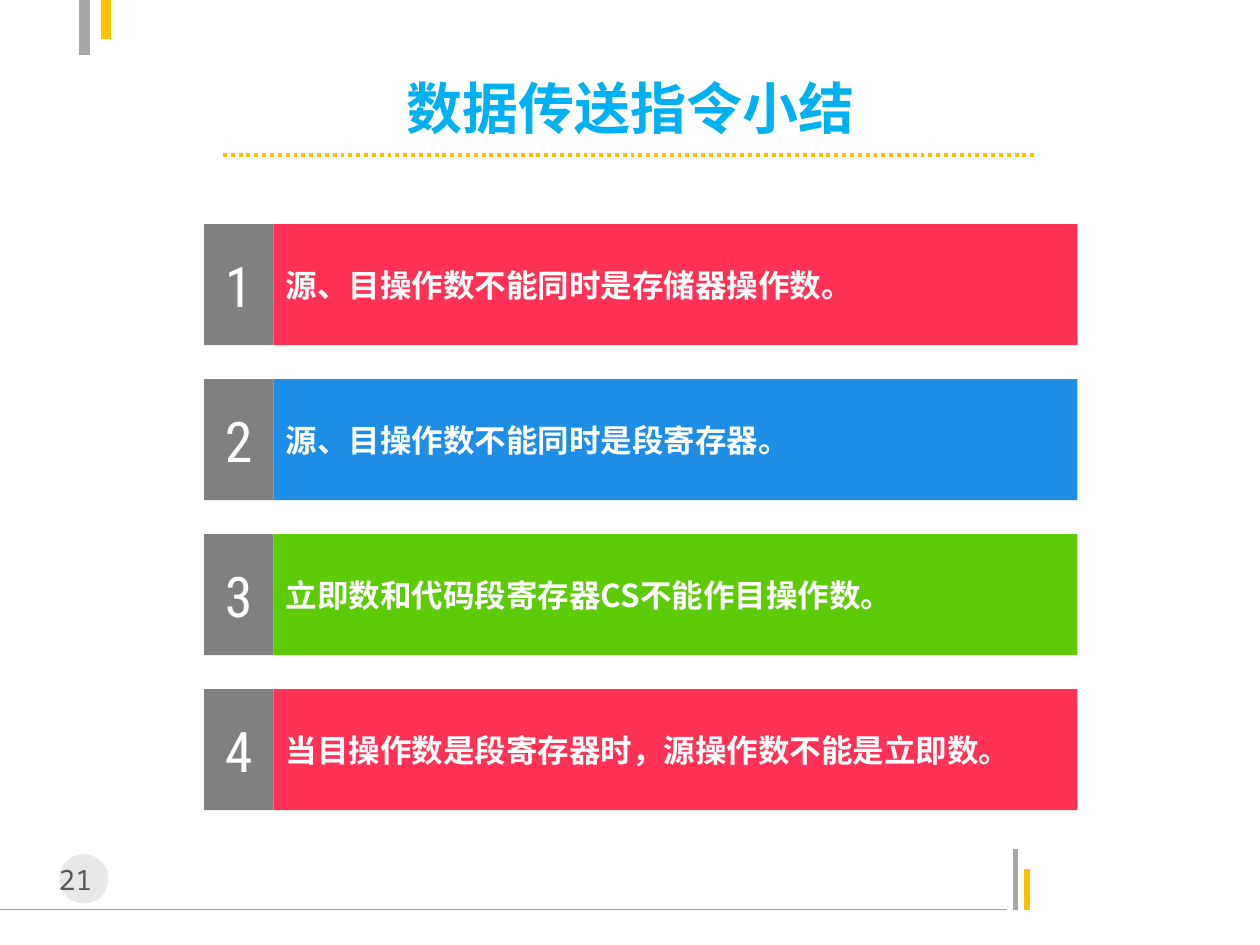
"""Builds a summary slide with four numbered rules on data transfer instructions."""
import lxml.etree
import pptx
import pptx.dml.color
import pptx.enum.dml
import pptx.enum.shapes
import pptx.enum.text
import pptx.oxml.ns
import pptx.util

COLORS = {
    "gray": "A6A6A6", "amber": "FFC000", "disc": "BFBFBF", "number": "595959",
    "tab": "808080", "red": "FF3255", "blue": "1D8DE5", "green": "5DCB08",
    "white": "FFFFFF", "title": "00B0F0",
}
CHINESE_FONT = "Noto Sans CJK SC"
SHAPES = pptx.enum.shapes.MSO_SHAPE
ALIGN = pptx.enum.text.PP_ALIGN
qn = pptx.oxml.ns.qn

deck = pptx.Presentation()
deck.slide_width = pptx.util.Inches(10)
deck.slide_height = pptx.util.Inches(7.5)
page = deck.slides.add_slide(deck.slide_layouts[6])


def add_box(kind, left, top, width, height, fill=None):
    """Adds a preset shape, or a text box when kind is None."""
    place = [pptx.util.Inches(length) for length in (left, top, width, height)]
    if kind is None:
        return page.shapes.add_textbox(*place)
    box = page.shapes.add_shape(kind, *place)
    box.shadow.inherit = False
    box.fill.solid()
    box.fill.fore_color.rgb = pptx.dml.color.RGBColor.from_string(COLORS[fill])
    box.line.fill.background()
    return box


def write(box, text, size, font, color, align, bold=False):
    """Writes one vertically centred paragraph into a box."""
    frame = box.text_frame
    frame.text = text
    frame.vertical_anchor = pptx.enum.text.MSO_ANCHOR.MIDDLE
    para = frame.paragraphs[0]
    para.alignment = align
    span = para.runs[0]
    span.font.size = pptx.util.Pt(size)
    span.font.bold = bold
    span.font.color.rgb = pptx.dml.color.RGBColor.from_string(COLORS[color])
    span.font.name = font
    lxml.etree.SubElement(span.font._element, qn("a:ea"), typeface=font)


base = 7.22
rules = [
    (0, base, 7.99, base, "gray", 0.75, False),
    (8.06, base, 8.06, 6.74, "gray", 3, False),
    (8.15, base, 8.15, 6.9, "amber", 3, False),
    (0.67, 0.44, 0.67, 0, "gray", 6, False),
    (0.84, 0, 0.84, 0.31, "amber", 6, False),
    (1.77, 1.23, 8.23, 1.23, "amber", 2.25, True),
]
for *ends, color, weight, dotted in rules:
    line = page.shapes.add_connector(
        pptx.enum.shapes.MSO_CONNECTOR.STRAIGHT,
        *[pptx.util.Inches(length) for length in ends])
    line.line.color.rgb = pptx.dml.color.RGBColor.from_string(COLORS[color])
    line.line.width = pptx.util.Pt(weight)
    if dotted:
        line.line.dash_style = pptx.enum.dml.MSO_LINE.ROUND_DOT
    lxml.etree.SubElement(line._element.spPr, qn("a:effectLst"))

disc = add_box(SHAPES.OVAL, 0.47, 6.78, 0.39, 0.39, "disc")
disc_color = disc._element.spPr.find(qn("a:solidFill"))[0]
lxml.etree.SubElement(disc_color, qn("a:alpha"), val="35000")
page_number = add_box(None, 0.31, 6.79, 0.71, 0.37)
write(page_number, "21 ", 16, "Noto Sans Mono", "number", ALIGN.CENTER)

title = add_box(None, 1.38, 0.6, 7.25, 0.5)
write(title, "数据传送指令小结", 32, CHINESE_FONT, "title", ALIGN.CENTER, True)
title.text_frame.word_wrap = False

items = [
    ("源、目操作数不能同时是存储器操作数。", "red"),
    ("源、目操作数不能同时是段寄存器。", "blue"),
    ("立即数和代码段寄存器CS不能作目操作数。", "green"),
    ("当目操作数是段寄存器时，源操作数不能是立即数。", "red"),
]
first_top, pitch, row_height = 1.78, 1.23, 0.96
tab_left, tab_width, bar_width = 1.62, 0.55, 6.38
for index, (text, color) in enumerate(items):
    top = first_top + index * pitch
    bar = add_box(SHAPES.RECTANGLE, tab_left + tab_width, top, bar_width, row_height, color)
    write(bar, text, 18, CHINESE_FONT, "white", ALIGN.LEFT, True)
    tab = add_box(SHAPES.RECTANGLE, tab_left, top, tab_width, row_height, "tab")
    write(tab, str(index + 1), 32, "Roboto Condensed", "white", ALIGN.CENTER)

deck.save("out.pptx")
